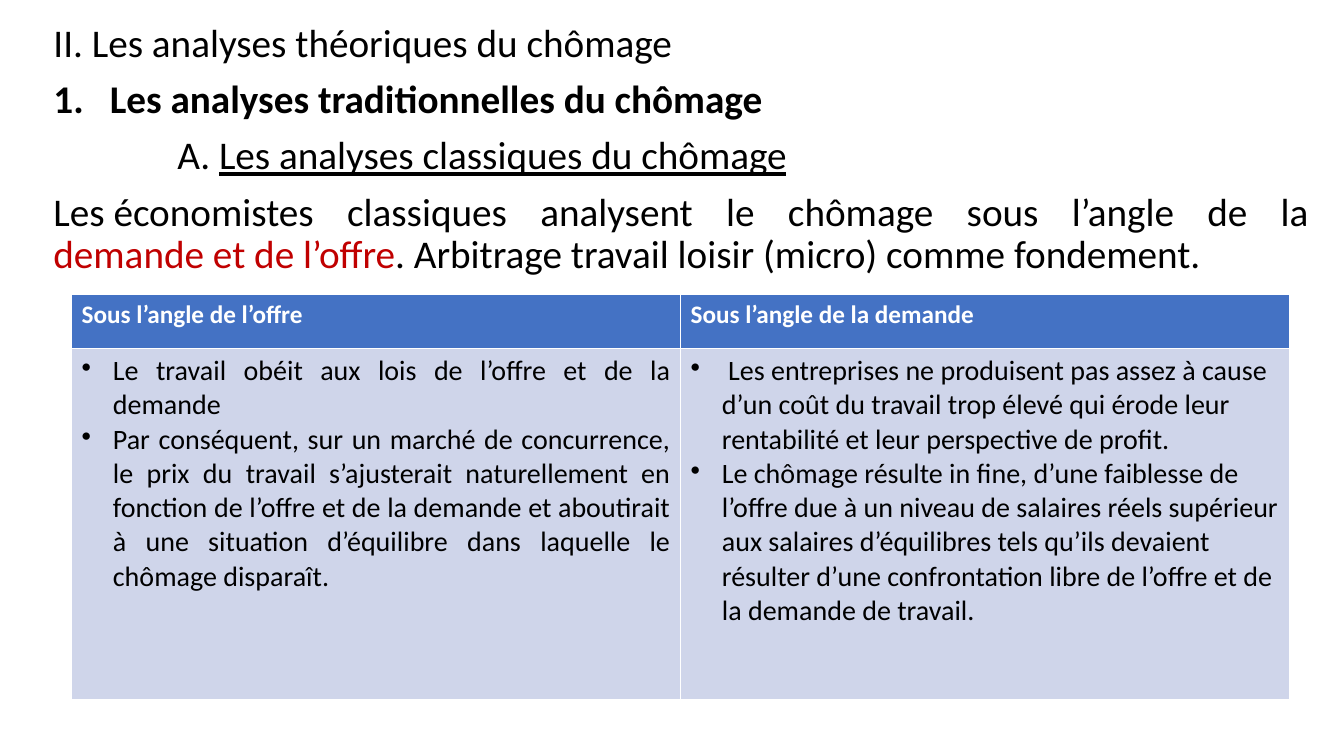
from lxml import etree
from pptx import Presentation, util as u
from pptx.dml.color import RGBColor
from pptx.enum import text
from pptx.oxml import ns

BLACK = RGBColor(0x00, 0x00, 0x00)
WHITE = RGBColor(0xFF, 0xFF, 0xFF)
RED = RGBColor(0xC0, 0x00, 0x00)
HEADER_BLUE = RGBColor(0x44, 0x72, 0xC4)
CELL_BLUE = RGBColor(0xCF, 0xD5, 0xEA)

FONT = "Calibri"
WIDTH, HEIGHT = u.Inches(13.33), u.Inches(7.5)
JUSTIFY = text.PP_ALIGN.JUSTIFY
NBSP = chr(160)

COLUMNS = [
    ("Sous l’angle de l’offre", JUSTIFY, [
        "Le travail obéit aux lois de l’offre et de la demande",
        "Par conséquent, sur un marché de concurrence, le prix du travail "
        "s’ajusterait naturellement en fonction de l’offre et de la demande et "
        "aboutirait à une situation d’équilibre dans laquelle le chômage disparaît.",
    ]),
    ("Sous l’angle de la demande", None, [
        " Les entreprises ne produisent pas assez à cause d’un coût du travail "
        "trop élevé qui érode leur rentabilité et leur perspective de profit.",
        "Le chômage résulte in fine, d’une faiblesse de l’offre due à un niveau "
        "de salaires réels supérieur aux salaires d’équilibres tels qu’ils "
        "devaient résulter d’une confrontation libre de l’offre et de la demande "
        "de travail.",
    ]),
]


def keep_together(words):
    """Stop a phrase from breaking across lines."""
    return words.replace(" ", NBSP)


def add_run(p, words, size=28, color=BLACK, bold=False, underline=False):
    r = p.add_run()
    r.text = words
    f = r.font
    f.name, f.size, f.color.rgb = FONT, u.Pt(size), color
    f.bold, f.underline = bold, underline


def add_paragraph(tf, first=False, align=None, left=0, hanging=0, bullet="buNone",
                  **bullet_attributes):
    p = tf.paragraphs[0] if first else tf.add_paragraph()
    p.alignment = align
    pPr = p._p.get_or_add_pPr()
    pPr.set("marL", str(u.Inches(left)))
    pPr.set("indent", str(-u.Inches(hanging)))
    etree.SubElement(pPr, ns.qn("a:" + bullet), **bullet_attributes)
    return p


def add_body(s):
    sp = s.placeholders[1]
    sp.left, sp.top = u.Inches(0.43), u.Inches(0.18)
    sp.width, sp.height = u.Inches(12.65), u.Inches(6.76)
    tf = sp.text_frame
    tf.word_wrap, tf.auto_size = True, text.MSO_AUTO_SIZE.NONE

    # Headings
    p = add_paragraph(tf, first=True)
    add_run(p, "II. Les analyses théoriques du chômage")
    p = add_paragraph(tf, align=JUSTIFY, left=0.56, hanging=0.56,
                      bullet="buAutoNum", type="arabicPeriod")
    add_run(p, "Les analyses traditionnelles du chômage", bold=True)
    p = add_paragraph(tf, align=JUSTIFY, left=1.23)
    add_run(p, "A. ")
    add_run(p, "Les analyses classiques du chômage", underline=True)

    # Introduction
    p = add_paragraph(tf, align=JUSTIFY)
    add_run(p, keep_together("Les économistes")
            + " classiques analysent le chômage sous l’angle de la ")
    add_run(p, keep_together("demande et de l’offre"), color=RED)
    add_run(p, ". Arbitrage travail loisir (micro) comme fondement.")

    for p in tf.paragraphs:
        p.line_spacing, p.space_before = 0.9, u.Pt(10)


def fill_cell(cell, color):
    cell.fill.solid()
    cell.fill.fore_color.rgb = color
    return cell.text_frame


def add_comparison(s):
    table = s.shapes.add_table(2, len(COLUMNS), u.Inches(0.71), u.Inches(2.92),
                               u.Inches(12.08), u.Inches(4.02)).table
    table.rows[0].height, table.rows[1].height = u.Inches(0.54), u.Inches(3.48)
    for i, (heading, align, points) in enumerate(COLUMNS):
        tf = fill_cell(table.cell(0, i), HEADER_BLUE)
        add_run(tf.paragraphs[0], heading, size=18, color=WHITE, bold=True)
        tf = fill_cell(table.cell(1, i), CELL_BLUE)
        for j, point in enumerate(points):
            p = add_paragraph(tf, first=j == 0, align=align, left=0.31,
                              hanging=0.31, bullet="buChar", char="•")
            add_run(p, point, size=20)


def main():
    prs = Presentation()
    prs.slide_width, prs.slide_height = WIDTH, HEIGHT
    s = prs.slides.add_slide(prs.slide_layouts[1])

    # The headings sit in the body, so the title goes unused
    title = s.shapes.title._element
    title.getparent().remove(title)

    add_body(s)
    add_comparison(s)
    prs.save("out.pptx")


if __name__ == "__main__":
    main()
